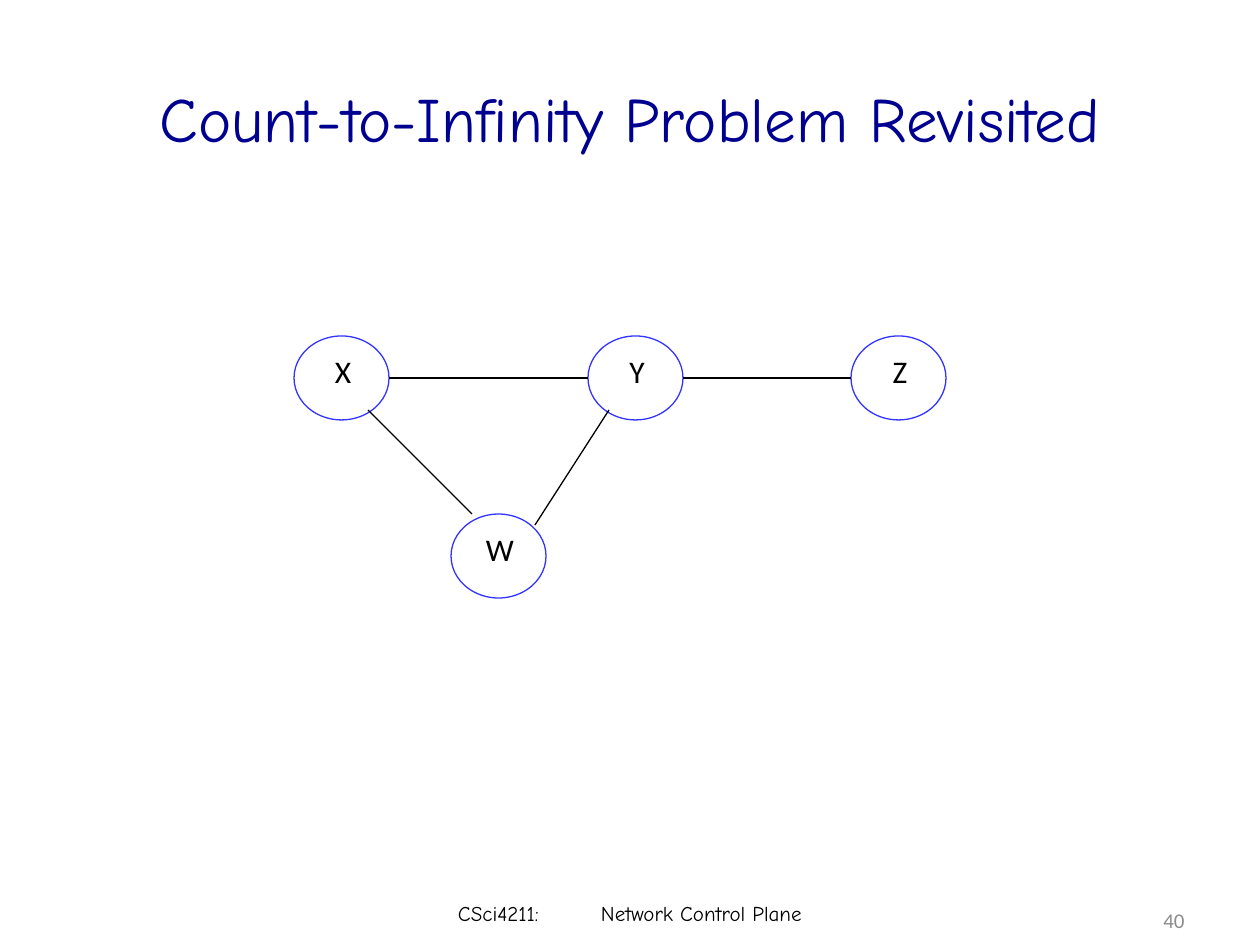
from lxml.etree import SubElement
from pptx import Presentation
from pptx.dml.color import RGBColor
from pptx.enum.shapes import MSO_CONNECTOR as CONN, MSO_SHAPE as SHAPE
from pptx.enum.text import MSO_ANCHOR as ANCHOR, PP_ALIGN as ALIGN
from pptx.oxml.ns import qn
from pptx.util import Pt

PX = 914400 / 126
COLORS = {"title": "000090", "node": "3333FF", "ink": "000000", "number": "8C8C8C"}
NODE_W, NODE_H = 95, 84
NODES = {"X": (0, 0), "Y": (294, 0), "Z": (557, 0), "W": (157, 178)}
LINKS = [
    (NODE_W, 42, 294, 42),
    (294 + NODE_W, 42, 557, 42),
    (74, 74, 178, 178),
    (315, 74, 241, 189),
]


def emu(*lengths):
    """Turn px lengths into EMU."""
    return [round(n * PX) for n in lengths]


def rgb(name):
    """Return the named colour."""
    return RGBColor.from_string(COLORS[name])


def style(p, size, font, color, align):
    """Format a paragraph."""
    p.font.size, p.font.name = Pt(size), font
    p.font.color.rgb = rgb(color)
    p.alignment = align


def add_text(shapes, box, text, size, font, color, align, anchor, wrap=True):
    """Add a one-paragraph text box and return its frame."""
    tf = shapes.add_textbox(*emu(*box)).text_frame
    tf.word_wrap, tf.vertical_anchor = wrap, anchor
    tf.text = text
    style(tf.paragraphs[0], size, font, color, align)
    return tf


def add_title(s, box, text):
    """Place and fill the title placeholder."""
    sp = s.shapes.title
    sp.left, sp.top, sp.width, sp.height = emu(*box)
    tf = sp.text_frame
    tf.text, tf.vertical_anchor = text, ANCHOR.MIDDLE
    style(tf.paragraphs[0], 36, "Comic Neue", "title", ALIGN.CENTER)


def add_node(shapes, x, y, name):
    """Draw one labelled router."""
    sp = shapes.add_shape(SHAPE.OVAL, *emu(x, y, NODE_W, NODE_H))
    sp.shadow.inherit = False
    sp.fill.background()
    sp.line.color.rgb, sp.line.width = rgb("node"), Pt(0.75)
    add_text(shapes, (x + 21, y + 10, 56, 63), name, 18, "Calibri", "ink",
             ALIGN.CENTER, ANCHOR.TOP, wrap=False)


def add_link(shapes, x1, y1, x2, y2):
    """Draw one straight link."""
    c = shapes.add_connector(CONN.STRAIGHT, *emu(x1, y1, x2, y2))
    c.line.color.rgb, c.line.width = rgb("ink"), Pt(0.75)
    SubElement(c._element.spPr, qn("a:effectLst"))


def add_network(s, left, top):
    """Draw the grouped network from its top left corner."""
    shapes = s.shapes.add_group_shape().shapes
    for name, (x, y) in NODES.items():
        add_node(shapes, left + x, top + y, name)
    for x1, y1, x2, y2 in LINKS:
        add_link(shapes, left + x1, top + y1, left + x2, top + y2)


def add_footer(s, box, course, topic):
    """Write the course and topic, parted by a tab stop."""
    tf = add_text(s.shapes, box, f"{course}\t{topic}", 12, "Comic Neue", "ink",
                  ALIGN.LEFT, ANCHOR.TOP)
    tf.margin_left, tf.margin_top = emu(27, 1)
    pPr = tf.paragraphs[0]._p.get_or_add_pPr()
    tabs = pPr.find(qn("a:tabLst"))
    if tabs is None:
        tabs = pPr.makeelement(qn("a:tabLst"), {})
        pPr.insert(0, tabs)
    SubElement(tabs, qn("a:tab"), pos=str(emu(143)[0]), algn="l")


def main():
    """Build and save the slide."""
    prs = Presentation()
    prs.slide_width, prs.slide_height = emu(1260, 945)
    s = prs.slides.add_slide(prs.slide_layouts[5])
    add_text(s.shapes, (903, 895, 294, 50), "40", 12, "Calibri", "number",
             ALIGN.RIGHT, ANCHOR.MIDDLE)
    add_title(s, (63, 38, 1134, 158), "Count-to-Infinity Problem Revisited")
    add_network(s, 294, 336)
    add_footer(s, (431, 900, 399, 50), "CSci4211:", "Network Control Plane")
    prs.save("out.pptx")


if __name__ == "__main__":
    main()
